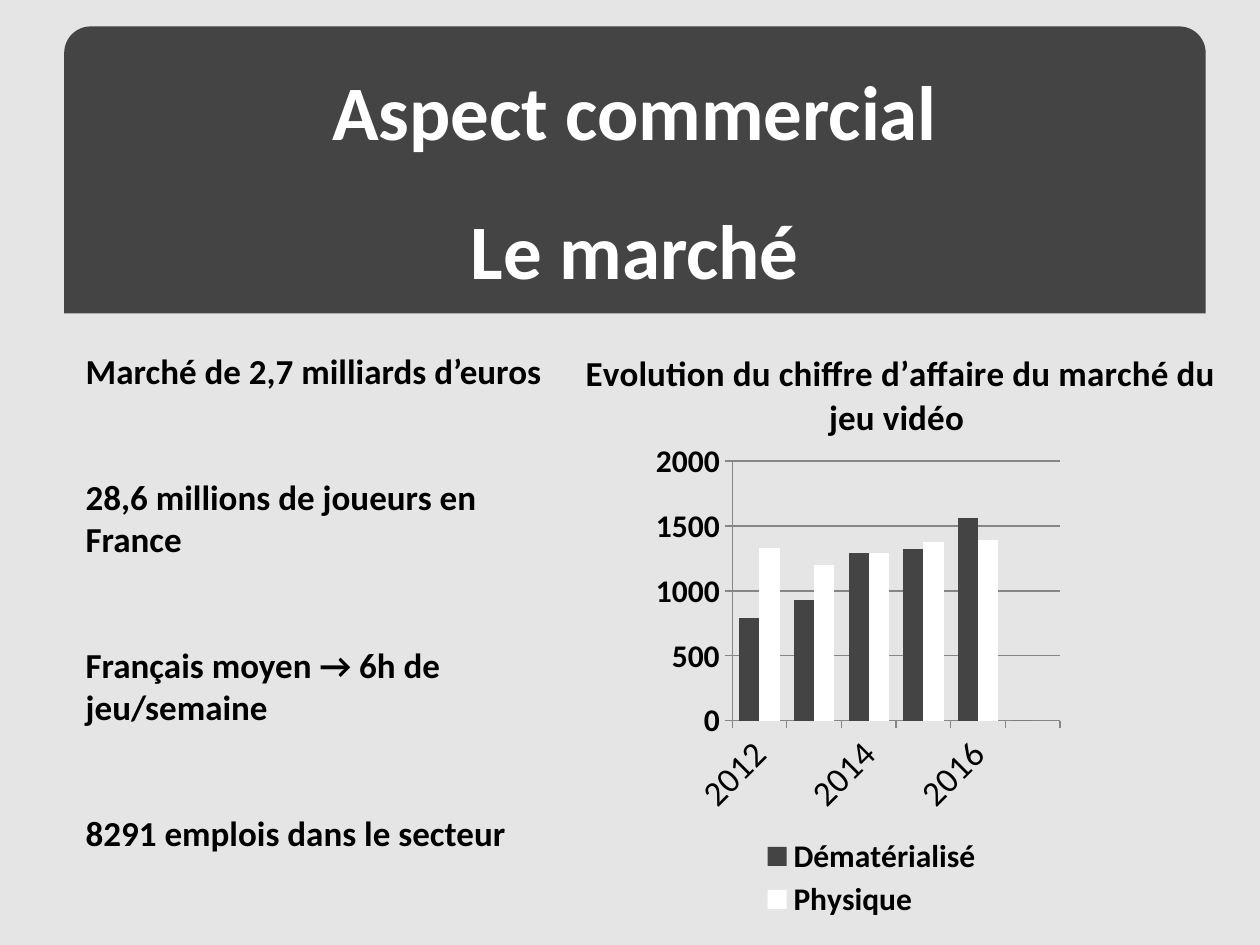
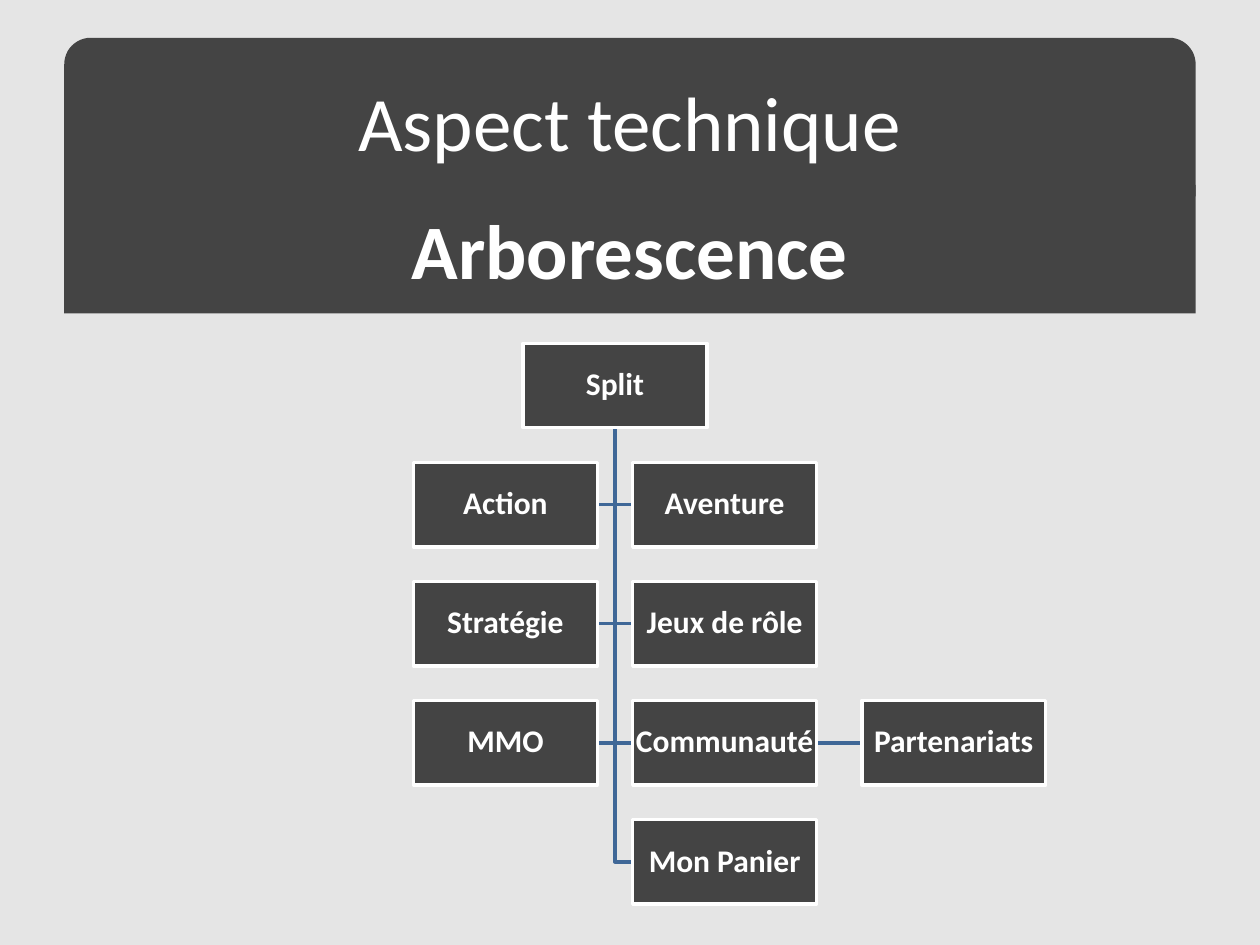
"""Build two slides on the video game market and the shop's site tree."""
from typing import NamedTuple

from lxml import etree
from pptx import Presentation
from pptx.chart.data import CategoryChartData
from pptx.dml.color import RGBColor
from pptx.enum.chart import XL_CHART_TYPE, XL_LEGEND_POSITION, XL_TICK_MARK
from pptx.enum.shapes import MSO_SHAPE
from pptx.enum.text import MSO_ANCHOR, MSO_AUTO_SIZE, PP_ALIGN
from pptx.oxml.ns import qn
from pptx.util import Pt

CLUSTERED = XL_CHART_TYPE.COLUMN_CLUSTERED
LEGEND_RIGHT = XL_LEGEND_POSITION.RIGHT
TICK_OUT, TICK_NONE = XL_TICK_MARK.OUTSIDE, XL_TICK_MARK.NONE
RECTANGLE, ROUND_TOP = MSO_SHAPE.RECTANGLE, MSO_SHAPE.ROUND_2_SAME_RECTANGLE
MIDDLE, TOP = MSO_ANCHOR.MIDDLE, MSO_ANCHOR.TOP
NO_AUTOFIT = MSO_AUTO_SIZE.NONE
CENTER, LEFT = PP_ALIGN.CENTER, PP_ALIGN.LEFT

COLORS = {
    "background": "E5E5E5",
    "band": "444444",
    "light": "FFFFFF",
    "text": "000000",
    "branch": "3F6797",
    "grid": "868686",
}
FONT = "Calibri"
BAND_LEFT, TITLE_HEIGHT = 36.72, 90.72
SUBTITLE_TOP, SUBTITLE_HEIGHT = 105.6, 73.44

NODE_WIDTH, NODE_HEIGHT = 105.12, 48.24
TREE_TOP, ROW_PITCH = 196.2, 68.05
COLUMNS = {"left": 236.3, "root": 298.9, "right": 361.6, "outer": 492.48}


class Heading(NamedTuple):
    """The two stacked bands at the head of a slide."""
    title: str
    subtitle: str
    top: float
    width: float
    bold_title: bool


class Node(NamedTuple):
    """One page of the site tree."""
    label: str
    column: str
    row: int


MARKET = Heading("Aspect commercial", "Le marché", 15.12, 652.32, True)
TREE = Heading("Aspect technique", "Arborescence", 21.6, 646.56, False)

FACTS = [
    "Marché de 2,7 milliards d’euros",
    "28,6 millions de joueurs en France",
    "Français moyen → 6h de jeu/semaine",
    "8291 emplois dans le secteur",
]
YEARS = ["2012", "2013", "2014", "2015", "2016", ""]
REVENUE = {
    "Dématérialisé": ([790, 930, 1290, 1320, 1560, 0], "band"),
    "Physique": ([1330, 1200, 1290, 1380, 1390, None], "light"),
}
ROOT = Node("Split", "root", 0)
PAGES = [
    Node("Action", "left", 1),
    Node("Aventure", "right", 1),
    Node("Stratégie", "left", 2),
    Node("Jeux de rôle", "right", 2),
    Node("MMO", "left", 3),
    Node("Communauté", "right", 3),
    Node("Partenariats", "outer", 3),
    Node("Mon Panier", "right", 4),
]


def rgb(name: str) -> RGBColor:
    """Return a palette colour."""
    return RGBColor.from_string(COLORS[name])


def style_font(font, size: float, bold: bool, color: str = "text") -> None:
    """Set the typeface, size, weight and colour of a font."""
    font.name, font.size, font.bold = FONT, Pt(size), bold
    font.color.rgb = rgb(color)


def write(frame, text: str, *, size: float, bold: bool = True, color: str = "text",
          align=CENTER, line_spacing: float = 1.0, space_after: float = 0) -> None:
    """Write one formatted paragraph for each line of the text."""
    frame.text = text
    for paragraph in frame.paragraphs:
        paragraph.alignment = align
        paragraph.line_spacing = line_spacing
        paragraph.space_before, paragraph.space_after = Pt(0), Pt(space_after)
        style_font(paragraph.runs[0].font, size, bold, color)


def move(shape, left: float, top: float, width: float, height: float) -> None:
    """Place a shape, in points."""
    shape.left, shape.top = Pt(left), Pt(top)
    shape.width, shape.height = Pt(width), Pt(height)


def paint(shape, fill: str) -> None:
    """Fill a shape with a plain colour."""
    shape.fill.solid()
    shape.fill.fore_color.rgb = rgb(fill)


def add_box(slide, left: float, top: float, width: float, height: float,
            outline=RECTANGLE):
    """Add a dark shape without line or shadow."""
    box = slide.shapes.add_shape(outline, Pt(left), Pt(top), Pt(width), Pt(height))
    box.shadow.inherit = False
    paint(box, "band")
    box.line.fill.background()
    box.text_frame.vertical_anchor = MIDDLE
    return box


def add_heading(slide, heading: Heading) -> None:
    """Set the title on a rounded band and the subtitle on the band below it."""
    place = (BAND_LEFT, heading.top, heading.width, TITLE_HEIGHT)
    band = add_box(slide, *place, outline=ROUND_TOP)
    slide.shapes._spTree.insert(2, band._element)
    title = slide.shapes.title
    move(title, *place)
    frame = title.text_frame
    frame.vertical_anchor, frame.auto_size = MIDDLE, NO_AUTOFIT
    frame.margin_top = Pt(8)
    write(frame, heading.title, size=44, bold=heading.bold_title, color="light")
    subtitle = add_box(slide, BAND_LEFT, SUBTITLE_TOP, heading.width, SUBTITLE_HEIGHT)
    write(subtitle.text_frame, heading.subtitle, size=44, color="light")


def add_facts(slide) -> None:
    """Write the market facts in the body placeholder, without bullets."""
    body = slide.placeholders[1]
    move(body, 41.76, 196.1, 289.44, 298.08)
    frame = body.text_frame
    frame.vertical_anchor, frame.auto_size = TOP, NO_AUTOFIT
    write(frame, "\n".join(FACTS), size=20, align=LEFT, space_after=48)
    for paragraph in frame.paragraphs:
        properties = paragraph._p.get_or_add_pPr()
        properties.set("marL", "0")
        properties.set("indent", "0")
        etree.SubElement(properties, qn("a:buNone"))


def set_layout(parent, index: int, inner: bool = False, **fractions: float) -> None:
    """Give a chart part a fixed place, in fractions of the chart."""
    for automatic in parent.findall(qn("c:layout")):
        parent.remove(automatic)
    layout = etree.Element(qn("c:layout"))
    manual = etree.SubElement(layout, qn("c:manualLayout"))
    if inner:
        etree.SubElement(manual, qn("c:layoutTarget"), val="inner")
    for side in ("x", "y"):
        etree.SubElement(manual, qn(f"c:{side}Mode"), val="edge")
    for key, value in fractions.items():
        etree.SubElement(manual, qn(f"c:{key}"), val=str(value))
    parent.insert(index, layout)


def add_revenue_chart(slide) -> None:
    """Add the column chart of yearly revenue."""
    data = CategoryChartData()
    data.categories = YEARS
    for name, (values, _) in REVENUE.items():
        data.add_series(name, values)
    chart = slide.shapes.add_chart(
        CLUSTERED, Pt(277.2), Pt(173.52), Pt(480.24), Pt(354.24), data).chart
    style_font(chart.font, 18, False)
    chart.has_title = True
    write(chart.chart_title.text_frame,
          "Evolution du chiffre d’affaire du marché du jeu vidéo ", size=20)

    columns = chart.plots[0]
    columns.gap_width, columns.overlap, columns.vary_by_categories = 70, 0, False
    for series, (_, color) in zip(columns.series, REVENUE.values()):
        paint(series.format, color)
        series.invert_if_negative = False

    years, amounts = chart.category_axis, chart.value_axis
    amounts.minimum_scale, amounts.maximum_scale, amounts.major_unit = 0, 2000, 500
    amounts.has_major_gridlines = True
    for axis, size, bold in ((years, 20, False), (amounts, 18, True)):
        axis.major_tick_mark, axis.minor_tick_mark = TICK_OUT, TICK_NONE
        axis.format.line.color.rgb = rgb("grid")
        style_font(axis.tick_labels.font, size, bold)
    amounts.major_gridlines.format.line.color.rgb = rgb("grid")
    years._element.find(qn("c:txPr")).find(qn("a:bodyPr")).set("rot", "-2700000")

    chart.has_legend = True
    chart.legend.position = LEGEND_RIGHT
    chart.legend.include_in_layout = False
    style_font(chart.legend.font, 18, True)

    parts = chart._chartSpace.find(qn("c:chart"))
    set_layout(parts.find(qn("c:title")), 1, x=0.112, y=0.062)
    set_layout(parts.find(qn("c:plotArea")), 0, inner=True, x=0.294, y=0.254, w=0.39, h=0.419)
    set_layout(parts.find(qn("c:legend")), 1, x=0.325, y=0.853, w=0.27, h=0.147)


def add_node(slide, node: Node) -> None:
    """Add a labelled page of the tree."""
    box = add_box(slide, COLUMNS[node.column], TREE_TOP + node.row * ROW_PITCH,
                  NODE_WIDTH, NODE_HEIGHT)
    box.line.color.rgb, box.line.width = rgb("light"), Pt(2)
    frame = box.text_frame
    frame.margin_left = frame.margin_right = frame.margin_top = frame.margin_bottom = Pt(0.72)
    frame.word_wrap = False
    write(frame, node.label, size=18, color="light", line_spacing=0.9)


def add_branch(slide, page: Node) -> None:
    """Draw the elbow from under the root to the near side of a page."""
    trunk = Pt(COLUMNS["root"] + NODE_WIDTH / 2)
    middle = Pt(TREE_TOP + page.row * ROW_PITCH + NODE_HEIGHT / 2)
    side = Pt(COLUMNS[page.column] + (NODE_WIDTH if page.column == "left" else 0))
    builder = slide.shapes.build_freeform(trunk, Pt(TREE_TOP + NODE_HEIGHT))
    builder.add_line_segments([(trunk, middle), (side, middle)], close=False)
    branch = builder.convert_to_shape()
    branch.shadow.inherit = False
    branch.fill.background()
    branch.line.color.rgb, branch.line.width = rgb("branch"), Pt(2)


def add_tree(slide) -> None:
    """Draw the branches, then the pages over them."""
    for page in reversed(PAGES):
        add_branch(slide, page)
    for node in [ROOT, *PAGES]:
        add_node(slide, node)


def main() -> None:
    """Build and save the presentation."""
    deck = Presentation()
    deck.slide_width, deck.slide_height = Pt(720), Pt(540)
    paint(deck.slide_master.background, "background")

    market = deck.slides.add_slide(deck.slide_layouts.get_by_name("Title and Content"))
    add_heading(market, MARKET)
    add_revenue_chart(market)
    add_facts(market)

    tree = deck.slides.add_slide(deck.slide_layouts.get_by_name("Title Only"))
    add_heading(tree, TREE)
    add_tree(tree)
    deck.save("out.pptx")


if __name__ == "__main__":
    main()
